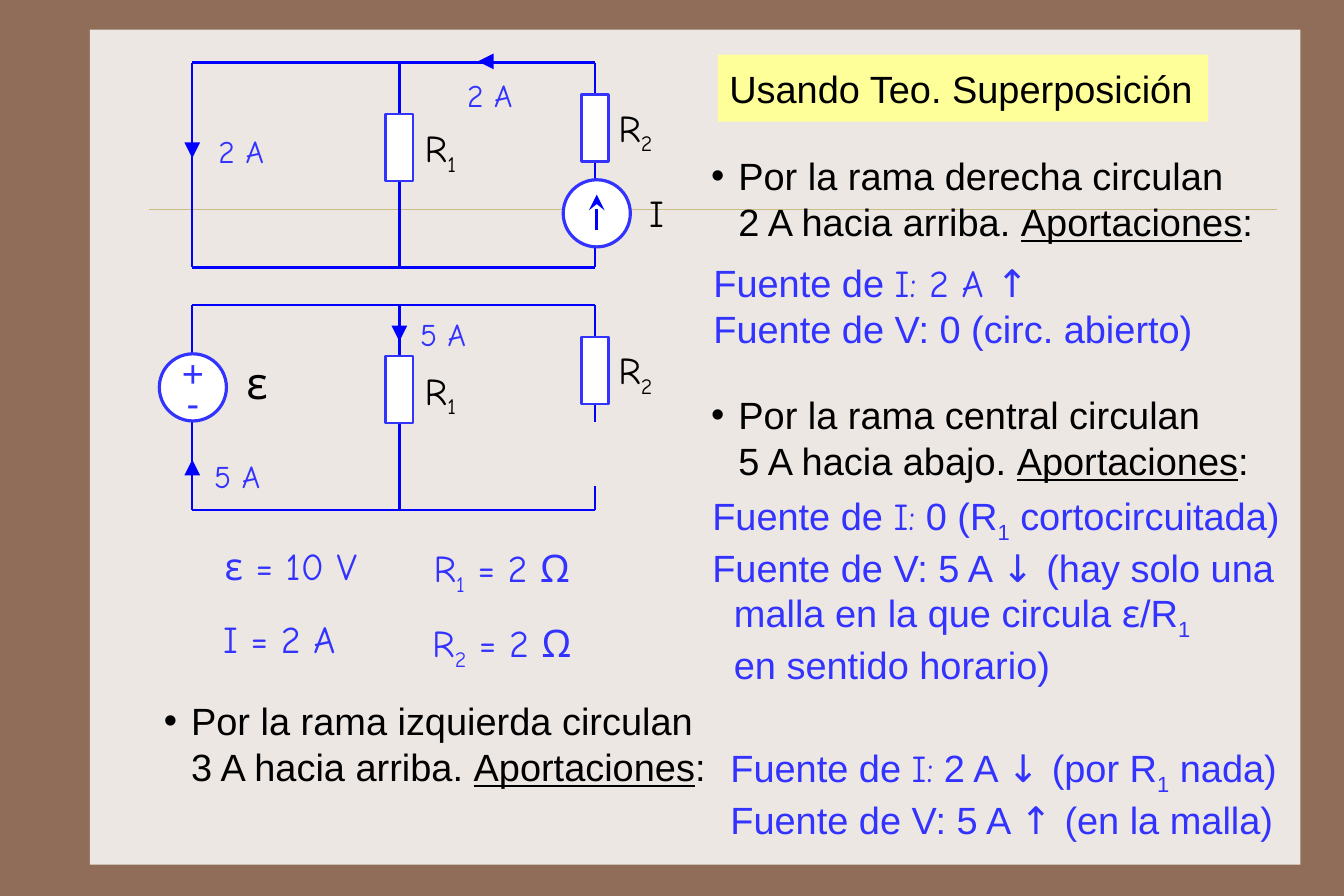
from lxml import etree
from pptx import Presentation
from pptx.dml.color import RGBColor
from pptx.enum.shapes import MSO_CONNECTOR, MSO_SHAPE
from pptx.enum.text import MSO_ANCHOR, MSO_AUTO_SIZE, PP_ALIGN
from pptx.oxml.ns import qn
from pptx.util import Inches, Pt

STRAIGHT = MSO_CONNECTOR.STRAIGHT
RECTANGLE, OVAL = MSO_SHAPE.RECTANGLE, MSO_SHAPE.OVAL
MIDDLE, TOP = MSO_ANCHOR.MIDDLE, MSO_ANCHOR.TOP
CENTER, LEFT = PP_ALIGN.CENTER, PP_ALIGN.LEFT
NO_AUTOFIT = MSO_AUTO_SIZE.NONE

BROWN = RGBColor(0x90, 0x6D, 0x58)
CREAM = RGBColor(0xED, 0xE7, 0xE3)
SAND = RGBColor(0xCB, 0xBD, 0x83)
YELLOW = RGBColor(0xFF, 0xFF, 0x99)
WHITE = RGBColor(0xFF, 0xFF, 0xFF)
BLACK = RGBColor(0, 0, 0)
BLUE = RGBColor(0x33, 0x33, 0xFF)
WIRE_BLUE = RGBColor(0, 0, 0xFF)
SANS, COMIC = "Arial", "Comic Neue"


def add_shape(slide, kind, box, fill, line=None, width=1.5):
    """Add a flat preset shape in the box, outlined if a line colour is given."""
    shape = slide.shapes.add_shape(kind, *map(Inches, box))
    shape.shadow.inherit = False
    shape.fill.solid()
    shape.fill.fore_color.rgb = fill
    if line is None:
        shape.line.fill.background()
    else:
        shape.line.color.rgb = line
        shape.line.width = Pt(width)
    return shape


def add_line(slide, start, end, color=WIRE_BLUE, width=1.5, head=None):
    """Add a straight connector, with an arrowhead at its end if one is named."""
    line = slide.shapes.add_connector(STRAIGHT, *map(Inches, (*start, *end)))
    line.line.color.rgb = color
    line.line.width = Pt(width)
    if head:
        etree.SubElement(line.line._get_or_add_ln(), qn("a:tailEnd"),
                         type=head, w="lg", len="lg")
    etree.SubElement(line.element.spPr, qn("a:effectLst"))
    return line


def set_font(font, name, size, color):
    """Set the family, size and colour of a font."""
    font.name = name
    font.size = Pt(size)
    font.color.rgb = color


def set_frame(frame, margins, anchor):
    """Set wrapping, margins (left, top, right, bottom) and anchor of a frame."""
    frame.word_wrap = True
    frame.auto_size = NO_AUTOFIT
    frame.vertical_anchor = anchor
    (frame.margin_left, frame.margin_top,
     frame.margin_right, frame.margin_bottom) = map(Inches, margins)


def add_spans(para, spans):
    """Add (text, style) spans, breaking the line at each newline."""
    for text, style in spans:
        for number, piece in enumerate(text.split("\n")):
            if number:
                para.add_line_break()
            if not piece:
                continue
            span = para.add_run()
            span.text = piece
            if style == "sub":
                span._r.get_or_add_rPr().set("baseline", "-25000")
            elif style == "under":
                span.font.underline = True
            elif style == "comic":
                span.font.name = COMIC


def add_label(slide, box, text, sub="", rest="", size=24, color=BLUE):
    """Add a centred label with an optional subscript and ending."""
    frame = slide.shapes.add_textbox(*map(Inches, box)).text_frame
    set_frame(frame, (0.09, 0.05, 0.09, 0.05), TOP)
    para = frame.paragraphs[0]
    para.alignment = CENTER
    set_font(para.font, COMIC, size, color)
    add_spans(para, [(text, None), (sub, "sub"), (rest, None)])


def add_notes(slide, box, paragraphs, color=BLUE, hanging=0.19, bullet=False):
    """Add a block of hanging paragraphs, bulleted on request."""
    frame = slide.shapes.add_textbox(*map(Inches, box)).text_frame
    set_frame(frame, (0.12,) * 4, MIDDLE)
    for number, spans in enumerate(paragraphs):
        para = frame.add_paragraph() if number else frame.paragraphs[0]
        properties = para._p.get_or_add_pPr()
        properties.set("marL", str(Inches(hanging)))
        properties.set("indent", str(-Inches(hanging)))
        if bullet:
            etree.SubElement(properties, qn("a:buFont"), typeface=SANS)
            etree.SubElement(properties, qn("a:buChar"), char="•")
        set_font(para.font, SANS, 24, color)
        add_spans(para, spans)


def add_branch(slide, box, branch, current):
    """State the current of one branch above its contributions."""
    spans = [(f"Por la rama {branch} circulan\n{current}. ", None),
             ("Aportaciones", "under"), (":", None)]
    add_notes(slide, box, [spans], BLACK, 0.24, True)


def add_background(slide, title):
    """Place the panel and its rule behind the title."""
    slide.background.fill.solid()
    slide.background.fill.fore_color.rgb = BROWN
    panel = add_shape(slide, RECTANGLE, (0.79, 0.26, 10.64, 7.34), CREAM)
    rule = add_line(slide, (1.31, 1.84), (11.22, 1.84), SAND, 0.25)
    for part in (panel, rule):
        title.element.addprevious(part.element)


def add_title(title, box):
    """Place and format the yellow title."""
    title.left, title.top, title.width, title.height = map(Inches, box)
    title.fill.solid()
    title.fill.fore_color.rgb = YELLOW
    set_frame(title.text_frame, (0.1, 0.09, 0, 0.09), MIDDLE)
    title.text_frame.text = "Usando Teo. Superposición"
    para = title.text_frame.paragraphs[0]
    para.alignment = LEFT
    set_font(para.font, SANS, 24, BLACK)


def add_circuit(slide, box, right_pieces):
    """Draw the loop and both resistors; the right branch comes in pieces."""
    left, top, width, height = box
    right, bottom, middle = left + width, top + height, left + 1.82
    for y in (top, bottom):
        add_line(slide, (left, y), (right, y))
    for x in (left, middle):
        add_line(slide, (x, top), (x, bottom))
    for start, end in right_pieces:
        add_line(slide, (right, top + start), (right, top + end))
    for x, y, number, label_box in (
            (middle, 0.45, "1", (left + 1.79, top + 0.5, 0.78, 0.64)),
            (right, 0.28, "2", (left + 3.38, top + 0.32, 1.03, 0.64))):
        add_shape(slide, RECTANGLE, (x - 0.12, top + y, 0.24, 0.59), WHITE, BLUE)
        add_label(slide, label_box, "R", number, color=BLACK)


def add_current_source(slide, box):
    """Draw the current source and its name."""
    left, top, size, _ = box
    add_shape(slide, OVAL, box, WHITE, BLUE, 2)
    x = left + size / 2
    add_line(slide, (x, top + 0.44), (x, top + 0.13), width=2, head="stealth")
    add_label(slide, (left + 0.42, top + 0.04, 0.8, 0.64), "I", color=BLACK)


def add_voltage_source(slide, box):
    """Draw the voltage source, its polarity and its name."""
    left, top, size, _ = box
    add_shape(slide, OVAL, box, WHITE, BLUE, 2)
    signs = slide.shapes.add_textbox(
        *map(Inches, (left, top + 0.1, size, 0.53))).text_frame
    set_frame(signs, (0,) * 4, TOP)
    signs.text = "+\n-"
    for para in signs.paragraphs:
        para.alignment = CENTER
        para.line_spacing = Pt(19)
        set_font(para.font, SANS, 24, BLUE)
    add_label(slide, (left + 0.58, top - 0.04, 0.56, 0.64), "ε",
              size=28, color=BLACK)


def add_current(slide, start, end, box, text):
    """Mark a current with an arrow and its value."""
    add_line(slide, start, end, width=1, head="triangle")
    add_label(slide, box, text, size=20)


def add_circuits(slide):
    """Draw both partial circuits with their currents and data."""
    add_circuit(slide, (1.69, 0.55, 3.54, 1.8), [(0, 1.8)])
    add_current_source(slide, (4.95, 1.58, 0.59, 0.59))
    add_circuit(slide, (1.69, 2.68, 3.54, 1.8), [(0, 1.03), (1.59, 1.8)])
    add_voltage_source(slide, (1.4, 3.11, 0.59, 0.59))
    for start, end, box, text in (
            ((1.69, 1.17), (1.69, 1.39), (1.6, 1.11, 1.04, 0.64), "2 A"),
            ((4.41, 0.54), (4.2, 0.54), (3.84, 0.62, 0.93, 0.64), "2 A"),
            ((3.51, 2.78), (3.51, 3), (3.43, 2.72, 0.93, 0.64), "5 A"),
            ((1.69, 4.25), (1.69, 4.04), (1.62, 3.97, 0.93, 0.64), "5 A")):
        add_current(slide, start, end, box, text)
    add_label(slide, (1.61, 4.72, 1.89, 0.64), "ε = 10 V")
    add_label(slide, (1.57, 5.36, 1.77, 0.64), "I = 2 A")
    for number, top in (("1", 4.74), ("2", 5.4)):
        add_label(slide, (3.08, top, 2.66, 0.64), "R", number, " = 2 Ω")


def add_reasoning(slide):
    """Write the contributions to the current of each branch."""
    add_branch(slide, (6.13, 1.22, 5.1, 1.05), "derecha", "2 A hacia arriba")
    add_notes(slide, (6.15, 2.16, 4.65, 1.05), [
        [("Fuente de ", None), ("I: 2 A ↑", "comic")],
        [("Fuente de V: 0 (circ. abierto)", None)]])
    add_branch(slide, (6.13, 3.32, 5.65, 1.05), "central", "5 A hacia abajo")
    add_notes(slide, (6.14, 4.26, 5.65, 1.85), [
        [("Fuente de ", None), ("I:", "comic"), (" 0 (R", None), ("1", "sub"),
         (" cortocircuitada)", None)],
        [("Fuente de V: 5 A ", None), ("↓ ", "comic"),
         ("(hay solo una\nmalla en la que circula ", None), ("ε", "comic"),
         ("/R", None), ("1", "sub"), ("\nen sentido horario)", None)]])
    add_branch(slide, (1.32, 6.01, 5.1, 1.05), "izquierda", "3 A hacia arriba")
    add_notes(slide, (6.3, 6.45, 5.2, 1.05), [
        [("Fuente de ", None), ("I:", "comic"), (" 2 A ", None), ("↓ ", "comic"),
         ("(por R", None), ("1", "sub"), (" nada)", None)],
        [("Fuente de V: 5 A ", None), ("↑ ", "comic"), ("(en la malla)", None)]])


def main():
    """Build the deck and save it."""
    deck = Presentation()
    deck.slide_width, deck.slide_height = Inches(189 / 16), Inches(63 / 8)
    slide = deck.slides.add_slide(deck.slide_layouts[5])
    title = slide.shapes.title
    add_background(slide, title)
    add_title(title, (6.31, 0.48, 4.31, 0.59))
    add_circuits(slide)
    add_reasoning(slide)
    deck.save("out.pptx")


if __name__ == "__main__":
    main()
